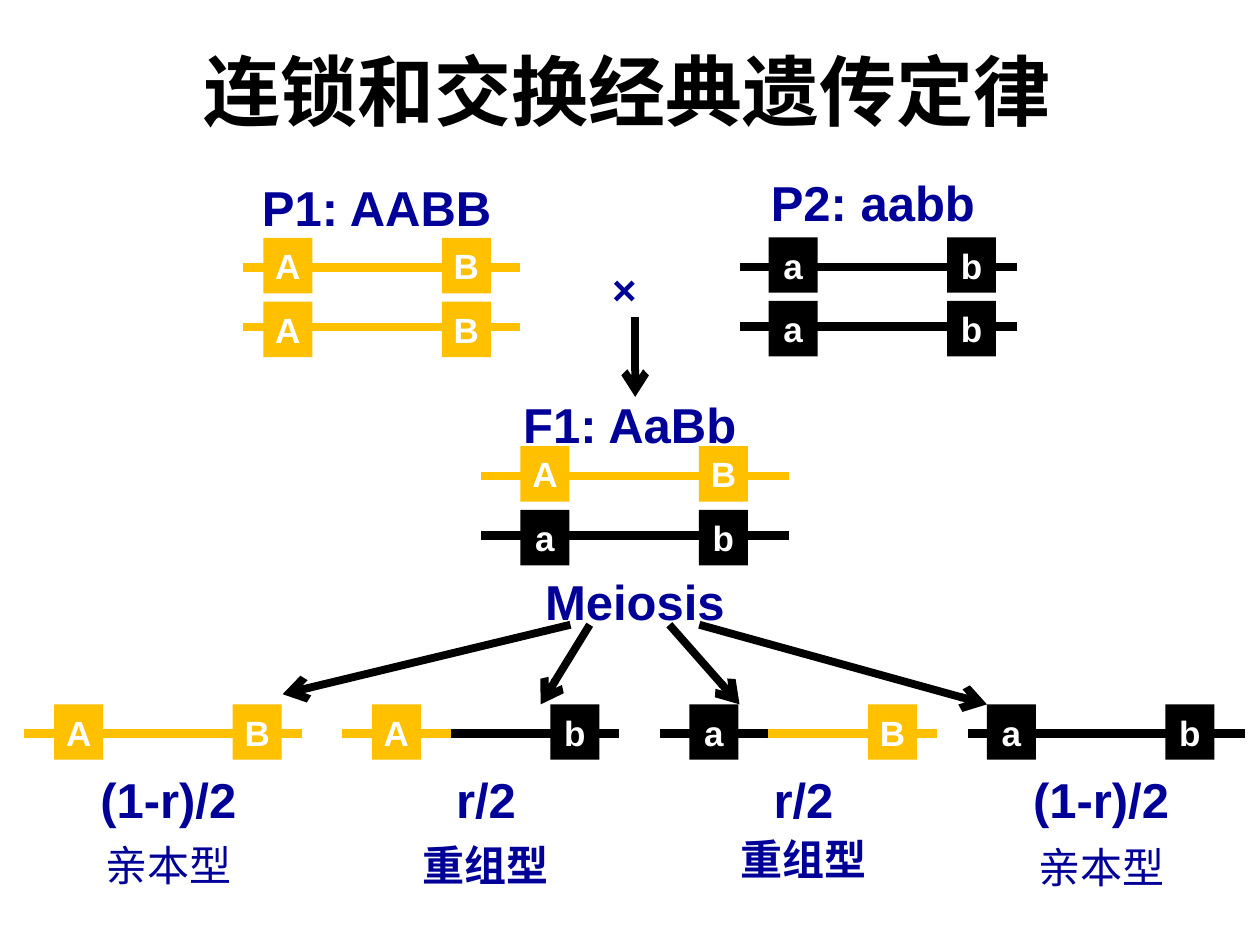
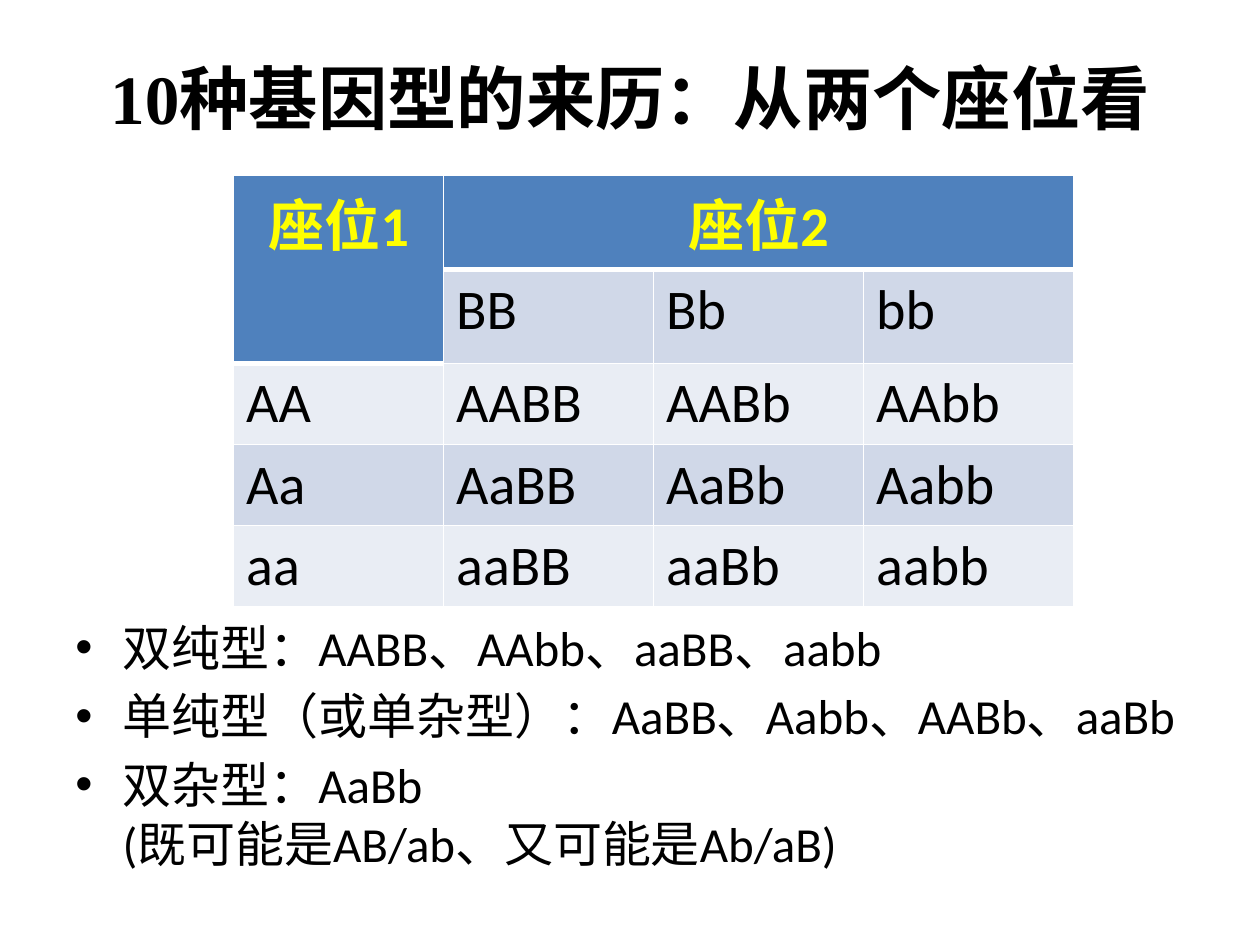
from lxml.etree import SubElement
from pptx import Presentation
from pptx.dml.color import RGBColor
from pptx.enum.shapes import MSO_CONNECTOR, MSO_SHAPE
from pptx.enum.text import MSO_ANCHOR, MSO_AUTO_SIZE, PP_ALIGN
from pptx.oxml.ns import qn
from pptx.util import Pt

BLACK = RGBColor(0x00, 0x00, 0x00)
WHITE = RGBColor(0xFF, 0xFF, 0xFF)
GOLD = RGBColor(0xFF, 0xC0, 0x00)
NAVY = RGBColor(0x00, 0x00, 0x99)
YELLOW = RGBColor(0xFF, 0xFF, 0x00)
BLUE = RGBColor(0x4F, 0x81, 0xBD)
BANDS = (RGBColor(0xE9, 0xED, 0xF4), RGBColor(0xD0, 0xD8, 0xE8))

HAN = "Noto Sans CJK SC"
GENE_W, GENE_H = 28, 31.7
GENE_STEP = 102
STRAND_W = 158.4
CUT = 62  # where a recombinant strand changes colour


# Shared helpers
def style(para, size, color, font="Arial", bold=True, align=PP_ALIGN.CENTER):
    para.alignment = align
    for run in para.runs:
        run.font.size = Pt(size)
        run.font.bold = bold
        run.font.color.rgb = color
        run.font.name = font
        SubElement(run.font._element, qn("a:ea"), typeface=HAN)


def add_slide(deck, title, box, size, font):
    slide = deck.slides.add_slide(deck.slide_layouts[5])
    head = slide.shapes.title
    head.left, head.top, head.width, head.height = map(Pt, box)
    frame = head.text_frame
    frame.text = title
    frame.word_wrap = True
    frame.auto_size = MSO_AUTO_SIZE.NONE
    frame.vertical_anchor = MSO_ANCHOR.MIDDLE
    style(frame.paragraphs[0], size, BLACK, font)
    return slide


def add_label(slide, text, box, size=28, **look):
    frame = slide.shapes.add_textbox(*map(Pt, box)).text_frame
    frame.word_wrap = True
    frame.text = text
    style(frame.paragraphs[0], size, NAVY, **look)


def add_line(slide, start, end, color, width, arrow=False):
    line = slide.shapes.add_connector(
        MSO_CONNECTOR.STRAIGHT, *map(Pt, (*start, *end)))
    line.line.color.rgb = color
    line.line.width = Pt(width)
    props = line._element.spPr
    if arrow:
        SubElement(props.find(qn("a:ln")), qn("a:tailEnd"), type="arrow")
    SubElement(props, qn("a:effectLst"))


# Chromosomes: capital genes are gold, small ones black
def hue(gene):
    return GOLD if gene.isupper() else BLACK


def add_gene(slide, gene, left, top):
    box = slide.shapes.add_shape(
        MSO_SHAPE.RECTANGLE, *map(Pt, (left, top, GENE_W, GENE_H)))
    box.shadow.inherit = False
    box.fill.solid()
    box.fill.fore_color.rgb = hue(gene)
    box.line.fill.background()
    frame = box.text_frame
    frame.margin_left = frame.margin_right = 0
    frame.vertical_anchor = MSO_ANCHOR.MIDDLE
    frame.text = gene
    style(frame.paragraphs[0], 20, WHITE)


def add_strand(slide, genes, left, top, inset, width=STRAND_W, drop=17):
    first, last = genes
    y = top + drop
    if hue(first) == hue(last):
        stops = [(left, left + width, first)]
    else:
        mid = left + CUT
        stops = [(left, mid, first), (mid, left + width, last)]
    for begin, end, gene in stops:
        add_line(slide, (begin, y), (end, y), hue(gene), 5)
    for i, gene in enumerate(genes):
        add_gene(slide, gene, left + inset + i * GENE_STEP, top)


def add_pair(slide, label, strands, left, top, inset, rise, width=STRAND_W):
    """Two homologous strands under a genotype label."""
    add_label(slide, label, (left + width / 2 - 83, top - rise, 160, 41))
    for genes, down, drop in zip(strands, (0, 36.4), (17, 14.5)):
        add_strand(slide, genes, left, top + down, inset, width, drop)


def add_gamete(slide, genes, left, top, inset, share, kind, kind_top):
    add_strand(slide, genes, left, top, inset, drop=16.5)
    x = left + inset
    add_label(slide, share, (x, top + 33.8, 130.3, 41))
    add_label(slide, kind, (x, top + kind_top, 130.3, 36), 24,
              font=HAN, bold=hue(genes[0]) != hue(genes[1]))


def linkage_slide(deck):
    slide = add_slide(deck, "连锁和交换经典遗传定律",
                      (51, 20, 615, 63), 44, HAN)

    # Parents and cross
    add_pair(slide, "P1: AABB", ("AB", "AB"), 139, 136, 11.5, 38)
    add_pair(slide, "P2: aabb", ("ab", "ab"), 422.6, 135.6, 16.6, 40.5)
    add_label(slide, "×", (342.7, 147, 39, 37), 24, align=PP_ALIGN.LEFT)
    add_line(slide, (363, 181.4), (363, 226.8), BLACK, 4.5, True)

    # First generation
    add_pair(slide, "F1: AaBb", ("AB", "ab"), 275, 255, 22.4, 33.2, 175.7)
    add_label(slide, "Meiosis", (297.6, 323.3, 130.3, 41))

    # Meiosis arrows
    for start, end in ((326, (161.5, 396.7)), (337, (309, 402.5)),
                       (382.5, (422.6, 402.5)), (399.6, (564, 402.5))):
        add_line(slide, (start, 357), end, BLACK, 4.5, True)

    # Gametes
    for genes, left, inset, share, kind, kind_top in (
            ("AB", 14, 17, "(1-r)/2", "亲本型", 73.5),
            ("Ab", 195.5, 17, "r/2", "重组型", 73.5),
            ("aB", 377, 17, "r/2", "重组型", 70),
            ("ab", 553, 11, "(1-r)/2", "亲本型", 75)):
        add_gamete(slide, genes, left, 402.5, inset, share, kind, kind_top)


# Genotype table
def edge(cell, sides):
    props = cell._tc.get_or_add_tcPr()
    for side, width in sides.items():
        line = SubElement(props, qn(f"a:ln{side}"), w=str(Pt(width)))
        fill = SubElement(line, qn("a:solidFill"))
        SubElement(fill, qn("a:srgbClr"), val=str(WHITE))


def is_head(row, col):
    return row == 0 or (row == 1 and col == 0)


def add_grid(slide, left, top, width):
    rows = [["座位1", "座位2", "", ""], ["", "BB", "Bb", "bb"]]
    for one in ("AA", "Aa", "aa"):
        rows.append([one] + [one + two for two in ("BB", "Bb", "bb")])
    heights = (52.5, 53.5, 46.4, 46.4, 46.4)
    table = slide.shapes.add_table(
        5, 4, *map(Pt, (left, top, width, sum(heights)))).table
    table.first_row = table.horz_banding = False
    for col in table.columns:
        col.width = Pt(width / 4)
    for row, height in zip(table.rows, heights):
        row.height = Pt(height)
    table.cell(0, 0).merge(table.cell(1, 0))
    table.cell(0, 1).merge(table.cell(0, 3))
    for r, texts in enumerate(rows):
        for c, text in enumerate(texts):
            cell, head = table.cell(r, c), is_head(r, c)
            below = r > 0 and not head and is_head(r - 1, c)
            edge(cell, {"L": 1, "R": 1, "T": 3 if below else 1,
                        "B": 3 if head else 1})
            cell.fill.solid()
            cell.fill.fore_color.rgb = BLUE if head else BANDS[r % 2]
            if text:
                cell.text_frame.text = text
                style(cell.text_frame.paragraphs[0], 32,
                      YELLOW if head else BLACK, "Calibri", head,
                      PP_ALIGN.CENTER if head else PP_ALIGN.LEFT)


def add_bullets(slide, texts, box):
    frame = slide.shapes.add_textbox(*map(Pt, box)).text_frame
    frame.word_wrap = True
    for i, text in enumerate(texts):
        para = frame.paragraphs[0] if i == 0 else frame.add_paragraph()
        para.text = text
        props = para._p.get_or_add_pPr()
        props.set("marL", str(Pt(27)))
        props.set("indent", str(Pt(-27)))
        SubElement(props, qn("a:buFont"), typeface="Arial")
        SubElement(props, qn("a:buChar"), char="•")
        if i:
            para.space_before = Pt(5.6)
        style(para, 28, BLACK, "Calibri", False, PP_ALIGN.LEFT)


def genotype_slide(deck):
    slide = add_slide(deck, "10种基因型的来历：从两个座位看",
                      (36, 21.6, 648, 67), 39.6, "Times New Roman")
    add_grid(slide, 133.5, 100.3, 480)
    add_bullets(slide, (
        "双纯型：AABB、AAbb、aaBB、aabb",
        "单纯型（或单杂型）：AaBB、Aabb、AABb、aaBb",
        "双杂型：AaBb\v(既可能是AB/ab、又可能是Ab/aB)",
    ), (36, 349.2, 648, 124.6))


def main():
    deck = Presentation()
    deck.slide_width, deck.slide_height = Pt(720), Pt(540)
    linkage_slide(deck)
    genotype_slide(deck)
    deck.save("out.pptx")


if __name__ == "__main__":
    main()
